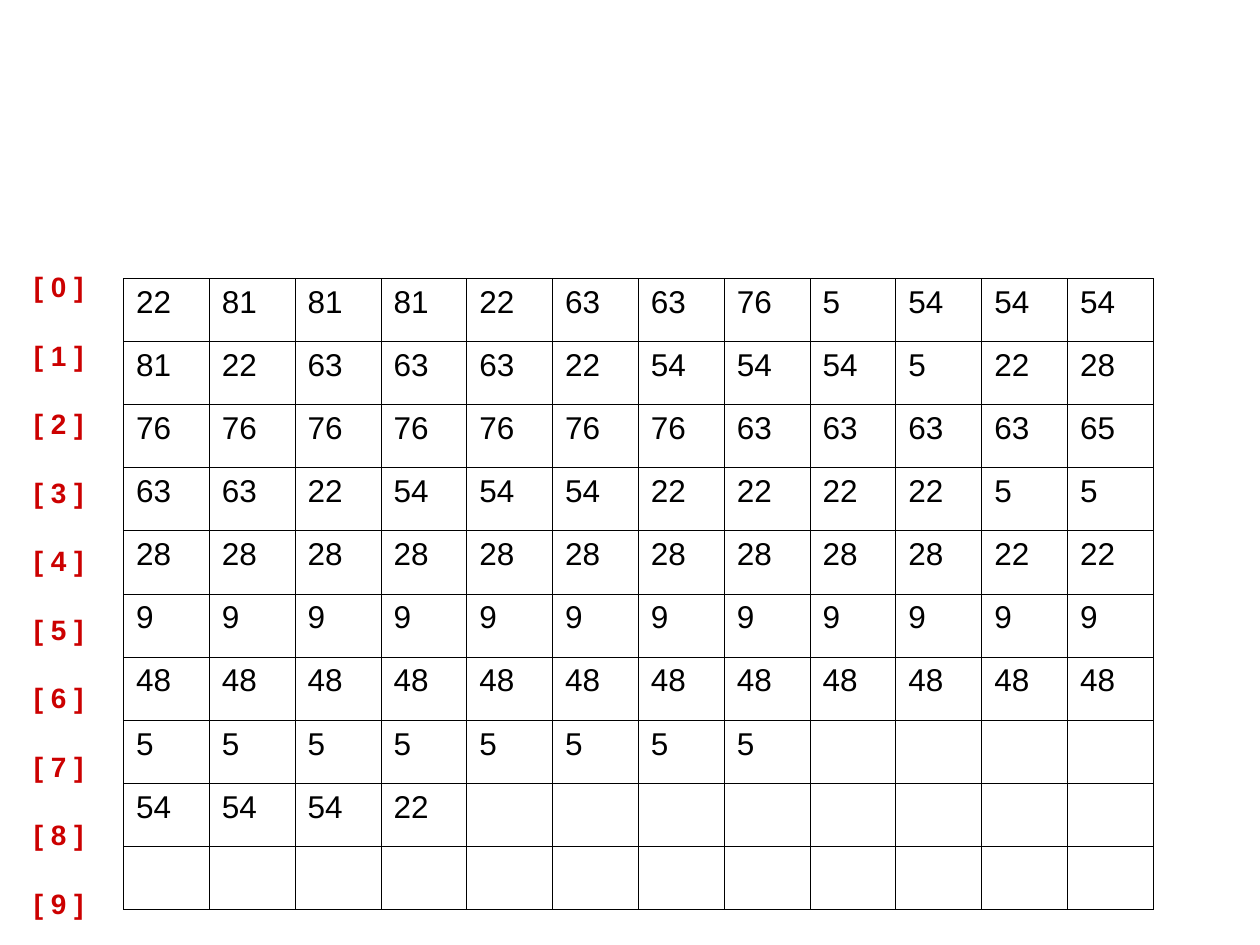
"""Build a slide that traces the contents of a ten-slot array, one column per step."""
from lxml import etree
from pptx import Presentation
from pptx.dml.color import RGBColor
from pptx.enum import text
from pptx.oxml import ns
from pptx.util import Pt

BLACK = RGBColor(0x00, 0x00, 0x00)
RED = RGBColor(0xCC, 0x00, 0x00)
FONT = "Arial"
STEPS = 12
ARRAY_ROWS = [
    [22, 81, 81, 81, 22, 63, 63, 76, 5, 54, 54, 54],
    [81, 22, 63, 63, 63, 22, 54, 54, 54, 5, 22, 28],
    [76] * 7 + [63] * 4 + [65],
    [63, 63, 22, 54, 54, 54, 22, 22, 22, 22, 5, 5],
    [28] * 10 + [22] * 2,
    [9] * STEPS,
    [48] * STEPS,
    [5] * 8,
    [54, 54, 54, 22],
    [],
]


def add_span(para, words, size, color, bold=False):
    span = para.add_run()
    span.text = words
    span.font.name = FONT
    span.font.size = Pt(size)
    span.font.bold = bold
    span.font.color.rgb = color


def add_borders(cell):
    properties = cell._tc.get_or_add_tcPr()
    for side in ("a:lnL", "a:lnR", "a:lnT", "a:lnB"):
        line = etree.SubElement(properties, ns.qn(side), w=str(Pt(0.45)))
        fill = etree.SubElement(line, ns.qn("a:solidFill"))
        etree.SubElement(fill, ns.qn("a:srgbClr"), val=str(BLACK))


deck = Presentation()
deck.slide_width, deck.slide_height = Pt(720), Pt(540)
page = deck.slides.add_slide(deck.slide_layouts[6])

box = page.shapes.add_textbox(Pt(12.24), Pt(149.8), Pt(43.2), Pt(372.2))
frame = box.text_frame
frame.word_wrap = False
frame.auto_size = text.MSO_AUTO_SIZE.SHAPE_TO_FIT_TEXT
for index in range(len(ARRAY_ROWS)):
    para = frame.add_paragraph() if index else frame.paragraphs[0]
    para.line_spacing = 1.04
    para.space_before = Pt(19.2 if index else 0)
    add_span(para, f"[ {index} ]", 16, RED, bold=True)

table = page.shapes.add_table(
    len(ARRAY_ROWS), STEPS, Pt(70.56), Pt(159.12), Pt(588.6), Pt(360.7)
).table
table.first_row = False
table.horz_banding = False
for column in table.columns:
    column.width = Pt(49.05)
for row, values in zip(table.rows, ARRAY_ROWS):
    row.height = Pt(36.07)
    for cell in row.cells:
        add_borders(cell)
        cell.fill.background()
    for cell, value in zip(row.cells, values):
        add_span(cell.text_frame.paragraphs[0], str(value), 18, BLACK)

deck.save("out.pptx")
